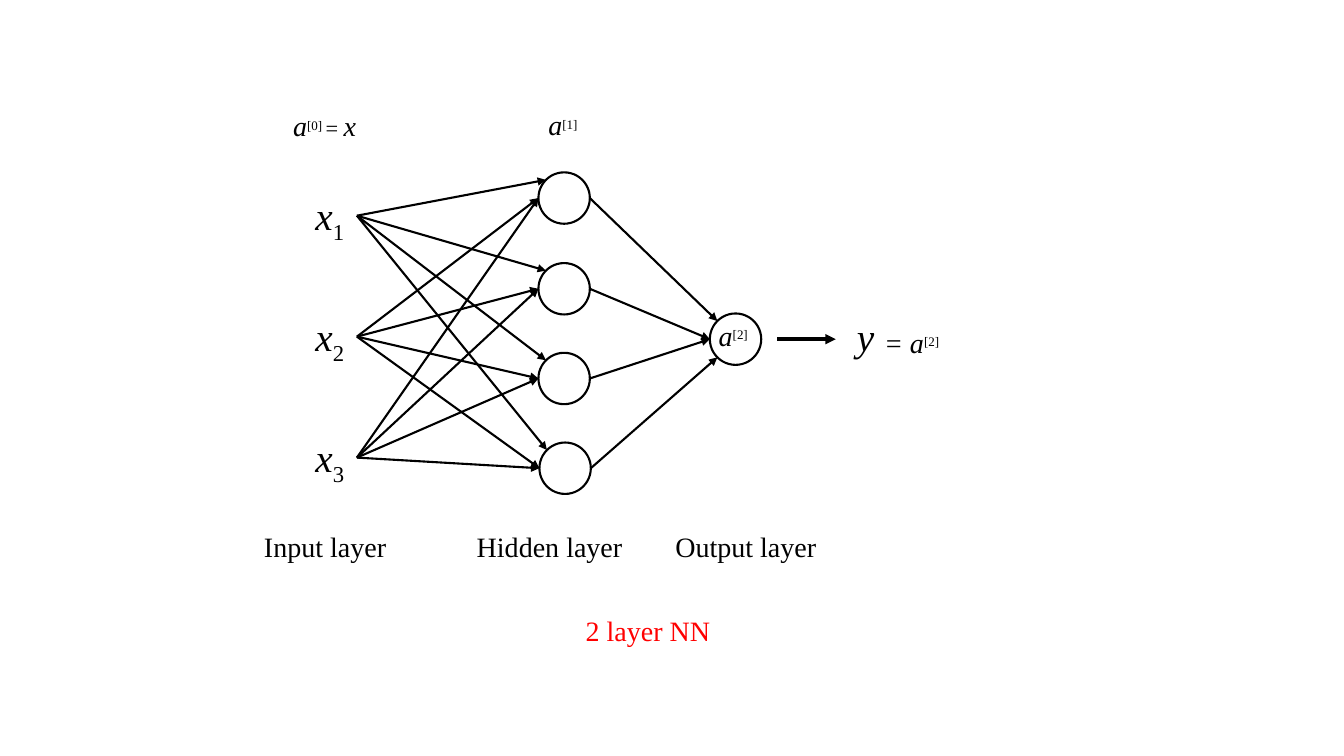
from math import sqrt

from lxml.etree import SubElement
from pptx import Presentation
from pptx.dml.color import RGBColor
from pptx.enum.shapes import MSO_CONNECTOR as CONN, MSO_SHAPE as SHAPE
from pptx.enum.text import PP_ALIGN as ALIGN
from pptx.oxml.ns import qn
from pptx.util import Inches, Pt

THEME = {
    "font": "Times New Roman",
    "ink": RGBColor(0x00, 0x00, 0x00),
    "accent": RGBColor(0xFF, 0x00, 0x00),
    "symbol": 28,
    "label": 20,
    "script": 16,
    "line": 1.5,
    "output_line": 2.5,
}

DIAMETER = 0.51
RADIUS = DIAMETER / 2
DIAGONAL = RADIUS / sqrt(2)


class Diagram:
    """Draws the network's elements on one slide in the theme's style."""

    def __init__(self, slide, theme):
        self.slide = slide
        self.theme = theme

    def neuron(self, left, top):
        """Draw an open circle and return its centre."""
        sp = self.slide.shapes.add_shape(
            SHAPE.OVAL, *map(Inches, (left, top, DIAMETER, DIAMETER)))
        sp.shadow.inherit = False
        sp.fill.background()
        sp.line.color.rgb = self.theme["ink"]
        sp.line.width = Pt(self.theme["line"])
        return left + RADIUS, top + RADIUS

    def arrow(self, start, end, weight="line"):
        s = self.slide.shapes.add_connector(
            CONN.STRAIGHT, *map(Inches, (*start, *end)))
        s.line.color.rgb = self.theme["ink"]
        s.line.width = Pt(self.theme[weight])
        SubElement(s.line._get_or_add_ln(), qn("a:tailEnd"), type="triangle")
        SubElement(s._element.spPr, qn("a:effectLst"))

    def text(self, left, top, width, *runs, size="label", color="ink"):
        """Write runs of (text, format values); 'size' and 'base' may be given."""
        height = 0.57 if size == "symbol" else 0.44
        tf = self.slide.shapes.add_textbox(
            *map(Inches, (left, top, width, height))).text_frame
        tf.word_wrap = True
        tf.margin_right = 0
        p = tf.paragraphs[0]
        p.alignment = ALIGN.LEFT
        for words, style in runs:
            r = p.add_run()
            r.text = words
            values = {"name": self.theme["font"],
                      "size": Pt(self.theme[style.get("size", size)]),
                      "italic": style.get("italic", False)}
            for name, value in values.items():
                setattr(r.font, name, value)
            r.font.color.rgb = self.theme[color]
            if "base" in style:
                r.font._element.set("baseline", str(style["base"] * 1000))


def italic(words):
    return words, {"italic": True}


def superscript(words):
    return words, {"size": "script", "base": 30}


def main():
    prs = Presentation()
    prs.slide_width, prs.slide_height = Inches(13.33), Inches(7.5)
    diagram = Diagram(prs.slides.add_slide(prs.slide_layouts[6]), THEME)

    # Neurons
    hidden = [diagram.neuron(left, top) for left, top in
              ((5.34, 1.71), (5.34, 2.61), (5.34, 3.5), (5.35, 4.39))]
    out_x, out_y = diagram.neuron(7.04, 3.11)

    # Inputs, each joined to every hidden neuron
    for i in range(3):
        diagram.text(3.03, 1.85 + 1.2 * i, 0.51, italic("x"),
                     (str(i + 1), {"base": -25}), size="symbol")
        for x, y in hidden:
            end = (x - DIAGONAL, y - DIAGONAL) if i == 0 else (x - RADIUS, y)
            diagram.arrow((3.54, 2.14 + 1.2 * i), end)

    # Hidden neurons joined to the output neuron
    ends = [(out_x - DIAGONAL, out_y - DIAGONAL), (out_x - RADIUS, out_y),
            (out_x - RADIUS, out_y), (out_x - DIAGONAL, out_y + DIAGONAL)]
    for (x, y), end in zip(hidden, ends):
        diagram.arrow((x + RADIUS, y), end)

    # Result
    diagram.arrow((7.71, out_y), (8.29, out_y), "output_line")
    diagram.text(8.4, 3.05, 0.31, italic("y"), size="symbol")
    diagram.text(8.67, 3.18, 0.75, italic("= a"), superscript("[2]"))

    # Activations
    diagram.text(2.81, 1.03, 0.96, italic("a"), superscript("[0] "),
                 ("= ", {"size": "script"}), italic("x"))
    diagram.text(5.34, 1.02, 0.51, italic("a"), superscript("[1]"))
    diagram.text(7.03, 3.11, 0.51, italic("a"), superscript("[2]"))

    # Layer names and caption
    for name, left, width in (("Input", 2.52, 1.54), ("Hidden", 4.63, 1.91),
                              ("Output", 6.6, 1.91)):
        diagram.text(left, 5.2, width, (f"{name} layer", {}))
    diagram.text(5.71, 6.04, 1.54, ("2 layer NN", {}), color="accent")

    prs.save("out.pptx")


if __name__ == "__main__":
    main()
